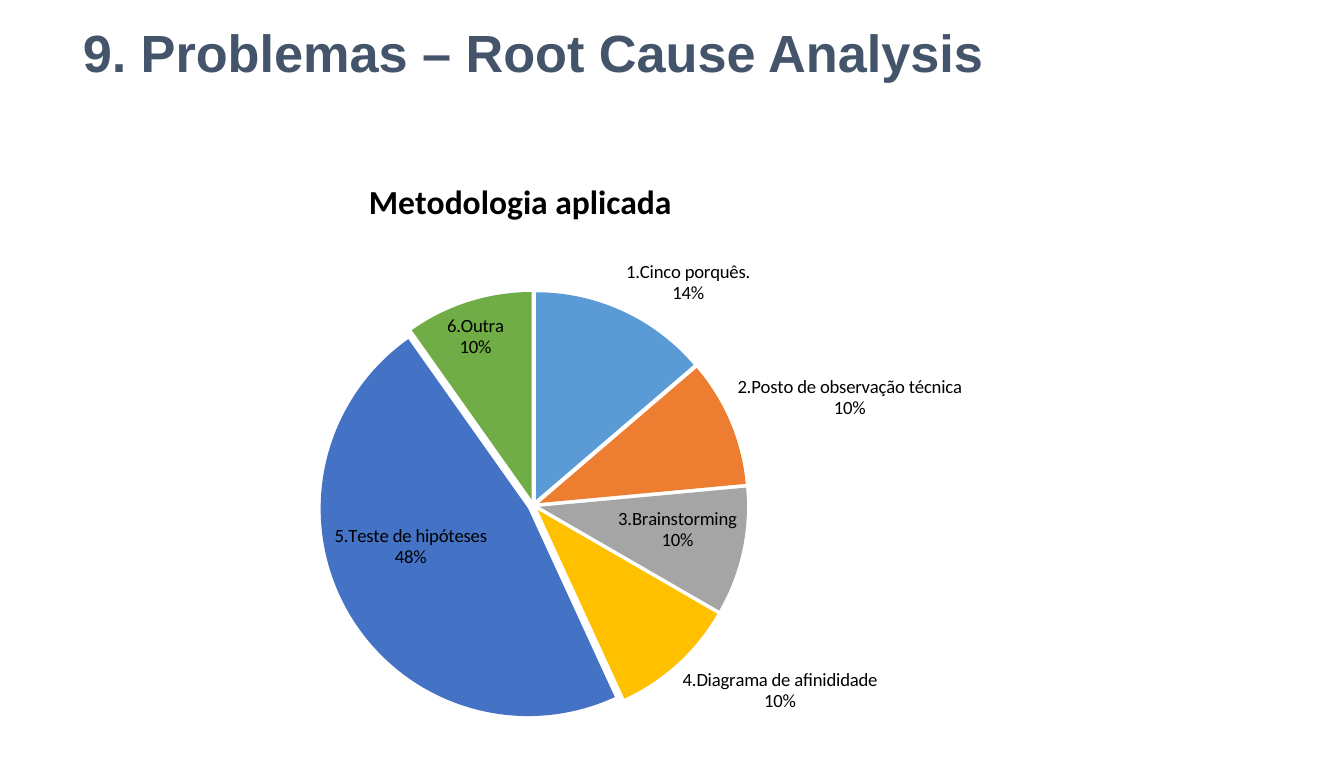
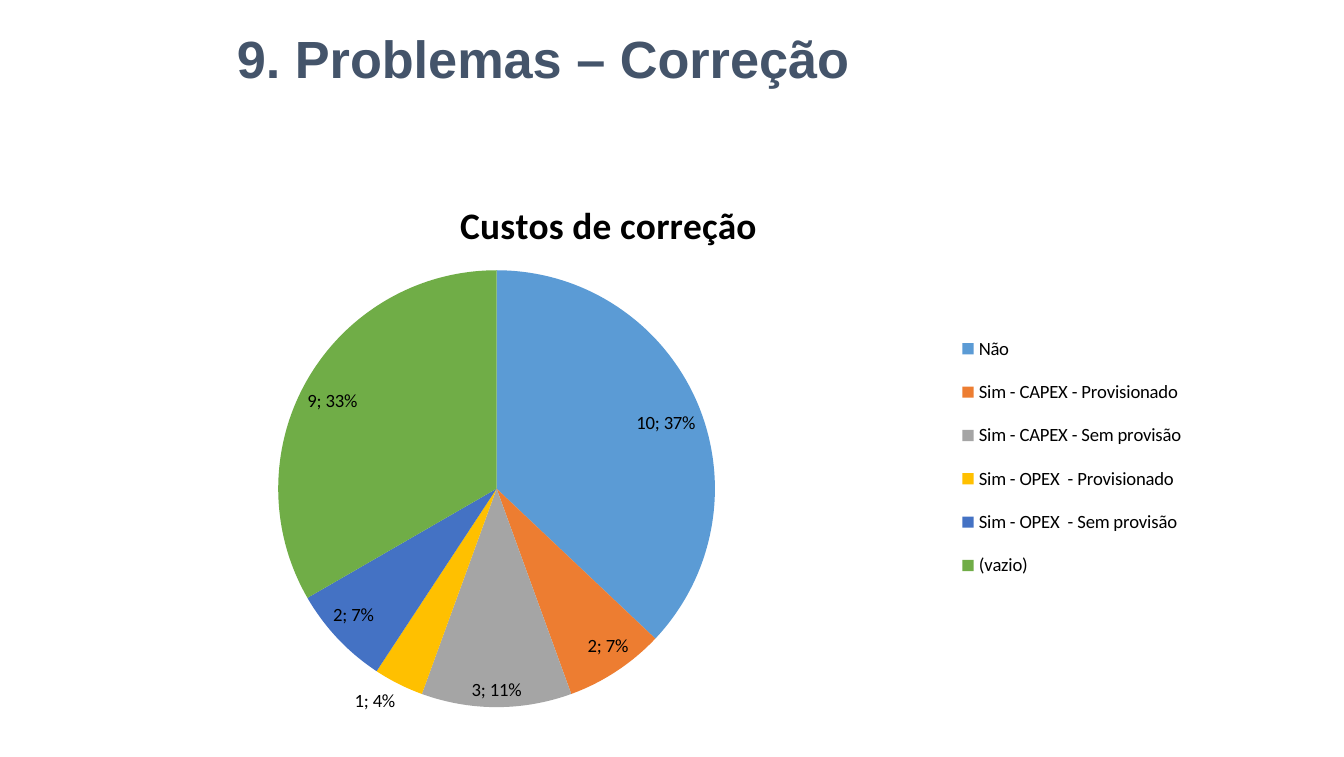
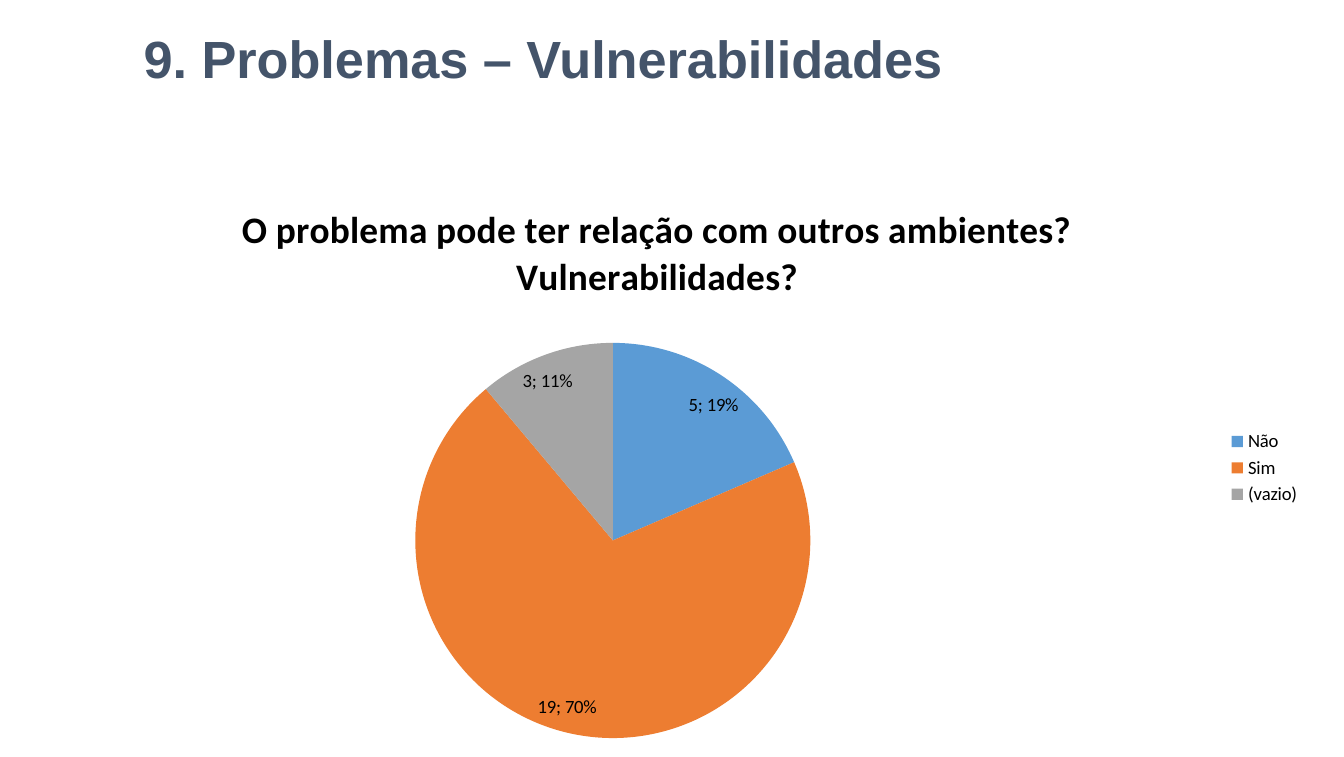
import pptx
import pptx.chart.data
import pptx.dml.color
import pptx.enum.chart
import pptx.enum.text
import pptx.oxml
import pptx.oxml.ns
import pptx.util
from pptx.util import Inches

HEADING_COLOR = pptx.dml.color.RGBColor(0x44, 0x54, 0x6A)
BLACK = pptx.dml.color.RGBColor(0, 0, 0)
SLICE_COLORS = [
    pptx.dml.color.RGBColor(0x5B, 0x9B, 0xD5),
    pptx.dml.color.RGBColor(0xED, 0x7D, 0x31),
    pptx.dml.color.RGBColor(0xA5, 0xA5, 0xA5),
    pptx.dml.color.RGBColor(0xFF, 0xC0, 0x00),
    pptx.dml.color.RGBColor(0x44, 0x72, 0xC4),
    pptx.dml.color.RGBColor(0x70, 0xAD, 0x47),
]
BEST_FIT = pptx.enum.chart.XL_LABEL_POSITION.BEST_FIT


def style_font(font, name, size, color, bold=False):
    font.name = name
    font.size = pptx.util.Pt(size)
    font.bold = bold
    font.color.rgb = color


def add_heading(page, text, left, top, width):
    box = page.shapes.add_textbox(Inches(left), Inches(top), Inches(width), Inches(0.61))
    frame = box.text_frame
    frame.word_wrap = True
    frame.vertical_anchor = pptx.enum.text.MSO_ANCHOR.MIDDLE
    frame.text = text
    paragraph = frame.paragraphs[0]
    paragraph.alignment = pptx.enum.text.PP_ALIGN.CENTER
    style_font(paragraph.runs[0].font, "Arial", 28, HEADING_COLOR, True)


def place_part(part, position, frame, area, target=None):
    for layout in part.findall(pptx.oxml.ns.qn("c:layout")):
        part.remove(layout)
    values = {
        "x": (area[0] - frame[0]) / frame[2],
        "y": (area[1] - frame[1]) / frame[3],
    }
    if len(area) == 4:
        values["w"] = area[2] / frame[2]
        values["h"] = area[3] / frame[3]
    inner = f'<c:layoutTarget val="{target}"/>' if target else ""
    inner += "".join(f'<c:{key}Mode val="edge"/>' for key in "xy")
    inner += "".join(f'<c:{key} val="{value:.4f}"/>' for key, value in values.items())
    part.insert(position, pptx.oxml.parse_xml(
        f'<c:layout {pptx.oxml.ns.nsdecls("c")}><c:manualLayout>{inner}'
        "</c:manualLayout></c:layout>"))


def add_pie(page, frame, title, title_size, slices, circle):
    data = pptx.chart.data.CategoryChartData()
    data.categories = list(slices)
    data.add_series("Series 1", list(slices.values()))
    chart = page.shapes.add_chart(
        pptx.enum.chart.XL_CHART_TYPE.PIE, *map(Inches, frame), data).chart
    style_font(chart.font, "Calibri", 10, BLACK)
    chart.has_legend = False
    chart.has_title = True
    chart.chart_title.text_frame.text = title
    span = chart.chart_title.text_frame.paragraphs[0].runs[0]
    style_font(span.font, "Calibri", title_size, BLACK, True)
    plot = chart.plots[0]
    plot.vary_by_categories = True
    for index, color in enumerate(SLICE_COLORS[:len(slices)]):
        fill = plot.series[0].points[index].format.fill
        fill.solid()
        fill.fore_color.rgb = color
    left, top, diameter = circle
    area = chart.element.find(".//" + pptx.oxml.ns.qn("c:plotArea"))
    place_part(area, 0, frame, (left, top, diameter, diameter), "inner")
    return chart


def add_labels(chart, separator, with_category):
    labels = chart.plots[0].series[0].data_labels
    labels.show_percentage = True
    labels.show_category_name = with_category
    labels.show_value = not with_category
    labels.position = BEST_FIT
    style_font(labels.font, "Calibri", 10, BLACK)
    element = pptx.oxml.parse_xml(
        f'<c:separator {pptx.oxml.ns.nsdecls("c")}>{separator}</c:separator>')
    series = chart.plots[0].series[0].format.fill and chart.element.find(
        ".//" + pptx.oxml.ns.qn("c:ser"))
    bubble = series.find(pptx.oxml.ns.qn("c:dLbls")).find(
        pptx.oxml.ns.qn("c:showBubbleSize"))
    bubble.addnext(element)


def write_label(chart, index, text):
    label = chart.plots[0].series[0].points[index].data_label
    label.text_frame.text = text
    label.position = BEST_FIT
    for paragraph in label.text_frame.paragraphs:
        for span in paragraph.runs:
            style_font(span.font, "Calibri", 10, BLACK)


def add_legend(chart):
    chart.has_legend = True
    chart.legend.position = pptx.enum.chart.XL_LEGEND_POSITION.RIGHT
    chart.legend.include_in_layout = False
    style_font(chart.legend.font, "Calibri", 10, BLACK)


def build_methods(page):
    add_heading(page, "9. Problemas – Root Cause Analysis", 0.43, 0.08, 7.07)
    frame = (-0.27, 1.17, 10.15, 4.46)
    slices = {
        "1.Cinco porquês.": 14,
        "2.Posto de observação técnica": 10,
        "3.Brainstorming": 10,
        "4.Diagrama de afinididade": 10,
        "5.Teste de hipóteses": 48,
        "6.Outra": 10,
    }
    chart = add_pie(page, frame, "Metodologia aplicada", 18, slices, (2.38, 2.17, 3.18))
    title = chart.element.find(".//" + pptx.oxml.ns.qn("c:title"))
    place_part(title, 1, frame, (2.7, 1.28))
    add_labels(chart, "\n", True)
    write_label(chart, 4, "5.Teste de hipóteses\n48%")
    series = chart.element.find(".//" + pptx.oxml.ns.qn("c:ser"))
    series.find(pptx.oxml.ns.qn("c:dPt")).addprevious(pptx.oxml.parse_xml(
        f'<c:explosion {pptx.oxml.ns.nsdecls("c")} val="3"/>'))
    for point in series.findall(pptx.oxml.ns.qn("c:dPt")):
        point.find(pptx.oxml.ns.qn("c:spPr")).addprevious(pptx.oxml.parse_xml(
            f'<c:explosion {pptx.oxml.ns.nsdecls("c")} val="3"/>'))


def build_costs(page):
    add_heading(page, "9. Problemas – Correção", 0.62, 0.12, 6.84)
    frame = (-0.15, 1.29, 9.36, 4.24)
    slices = {
        "Não": 10,
        "Sim - CAPEX - Provisionado": 2,
        "Sim - CAPEX - Sem provisão": 3,
        "Sim - OPEX  - Provisionado": 1,
        "Sim - OPEX  - Sem provisão": 2,
        "(vazio)": 9,
    }
    chart = add_pie(page, frame, "Custos de correção", 20, slices, (2.07, 2.01, 3.25))
    add_labels(chart, "; ", False)
    add_legend(chart)
    legend = chart.element.find(".//" + pptx.oxml.ns.qn("c:legend"))
    place_part(legend, 1, frame, (7.05, 2.35, 1.85, 2.1))


def build_vulnerabilities(page):
    add_heading(page, "9. Problemas – Vulnerabilidades", 0.62, 0.12, 6.84)
    question = "O problema pode ter relação com outros ambientes? Vulnerabilidades?"
    slices = {"Não": 5, "Sim": 19, "(vazio)": 3}
    chart = add_pie(page, (0, 1.32, 9.78, 4.32), question, 20, slices, (3.09, 2.55, 2.94))
    add_labels(chart, "; ", False)
    add_legend(chart)


def main():
    deck = pptx.Presentation()
    deck.slide_width = Inches(10)
    deck.slide_height = Inches(5.63)
    for build in (build_methods, build_costs, build_vulnerabilities):
        build(deck.slides.add_slide(deck.slide_layouts[6]))
    deck.save("out.pptx")


if __name__ == "__main__":
    main()
